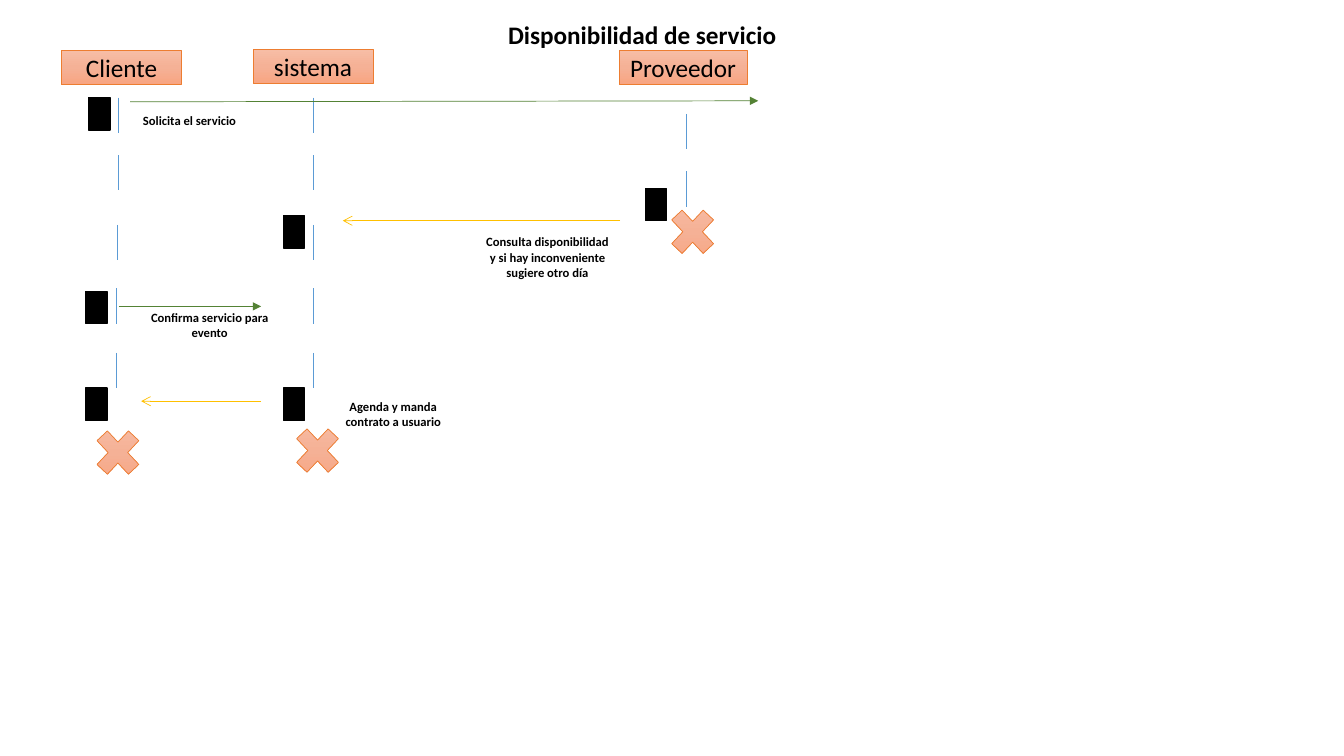
"""Builds a sequence diagram slide about service availability."""
from copy import deepcopy

from lxml.etree import SubElement
from pptx import Presentation
from pptx.dml.color import RGBColor
from pptx.enum.shapes import MSO_CONNECTOR, MSO_SHAPE
from pptx.enum.text import MSO_ANCHOR as ANCHOR, MSO_AUTO_SIZE as AUTO_SIZE, PP_ALIGN as ALIGN
from pptx.oxml.ns import qn
from pptx.util import Inches, Pt

BLACK, BLUE, GREEN, GOLD, ORANGE = "000000", "5B9BD5", "548235", "FFC000", "ED7D31"
PEACH_STOPS = [(0, "F7BDA5"), (0.5, "F5B196"), (1, "F8A582")]
DASH_LENGTH = 0.35

HEADERS = [("Cliente", 0.61, 0.5, 1.19), ("sistema", 2.51, 0.49, 1.19), ("Proveedor", 6.14, 0.5, 1.27)]
DASH_TOPS = [0.97, 1.54, 2.23, 2.86, 3.5]
LIFELINES = [
    ([1.17, 1.17, 1.16, 1.15, 1.15], DASH_TOPS),
    ([3.11] * 5, DASH_TOPS),
    ([6.81] * 2, [1.13, 1.7]),
]
MESSAGES = [
    ((1.29, 1.01), (7.52, 1), GREEN, "triangle"),
    ((6.15, 2.19), (3.4, 2.19), GOLD, "arrow"),
    ((1.18, 3.04), (2.59, 3.04), GREEN, "triangle"),
    ((2.59, 3.98), (1.4, 3.98), GOLD, "arrow"),
]
LABELS = [
    ("Solicita el servicio", 1.16, 1.05, 0.28),
    ("Consulta disponibilidad y si hay inconveniente sugiere otro día", 4.71, 2.29, 0.52),
    ("Confirma servicio para evento", 1.36, 2.96, 0.52),
    ("Agenda y manda contrato a usuario", 3.18, 3.85, 0.52),
]
ACTIVATIONS = [(0.88, 0.97), (6.4, 1.87), (2.81, 2.14), (0.85, 2.89), (0.85, 3.85), (2.81, 3.85)]
ENDINGS = [(0.87, 4.17), (2.85, 4.15), (6.57, 1.98)]


def color(value):
    """Turn a hex string into a colour."""
    return RGBColor.from_string(value)


def apply_format(target, values):
    """Set each attribute in a dict of format values."""
    for name, value in values.items():
        setattr(target, name, value)


def set_line(line, value, width=0.5):
    """Give a line its colour and width in points."""
    line.color.rgb = color(value)
    line.width = Pt(width)


def fill_peach(shape):
    """Fill a shape with the vertical three-stop peach gradient."""
    shape.fill.gradient()
    shape.fill.gradient_angle = 270
    stop_list = shape._element.spPr.find(".//" + qn("a:gsLst"))
    stop_list.insert(1, deepcopy(stop_list[0]))
    for stop, (position, value) in zip(shape.fill.gradient_stops, PEACH_STOPS):
        stop.position = position
        stop.color.rgb = color(value)


def write_text(shape, text, size, bold=False, align=ALIGN.CENTER, **frame_format):
    """Write one black paragraph into a shape."""
    frame = shape.text_frame
    apply_format(frame, {"word_wrap": True, "vertical_anchor": ANCHOR.MIDDLE, **frame_format})
    paragraph = frame.paragraphs[0]
    paragraph.alignment = align
    run = paragraph.add_run()
    run.text = text
    apply_format(run.font, {"name": "Calibri", "size": Pt(size), "bold": bold})
    run.font.color.rgb = color(BLACK)


def add_label(slide, text, left, top, width, height, size=9, **text_format):
    """Add a bold text box."""
    box = slide.shapes.add_textbox(*map(Inches, (left, top, width, height)))
    write_text(box, text, size, bold=True, **text_format)


def add_block(slide, kind, left, top, width, height):
    """Add a preset shape without a shadow."""
    shape = slide.shapes.add_shape(kind, *map(Inches, (left, top, width, height)))
    shape.shadow.inherit = False
    return shape


def add_peach_block(slide, kind, *box):
    """Add a peach shape with an orange outline."""
    shape = add_block(slide, kind, *box)
    fill_peach(shape)
    set_line(shape.line, ORANGE)
    return shape


def add_activation(slide, left, top):
    """Add a black activation bar."""
    bar = add_block(slide, MSO_SHAPE.RECTANGLE, left, top, 0.21, 0.32)
    bar.fill.solid()
    bar.fill.fore_color.rgb = color(BLACK)
    set_line(bar.line, BLACK, 1)


def add_line(slide, start, end, value, head=None):
    """Add a thin straight line, with an arrowhead at its end if one is named."""
    connector = slide.shapes.add_connector(MSO_CONNECTOR.STRAIGHT, *map(Inches, (*start, *end)))
    set_line(connector.line, value)
    if head:
        SubElement(connector.line._get_or_add_ln(), qn("a:tailEnd"), type=head)
    SubElement(connector._element.spPr, qn("a:effectLst"))


def main():
    """Build the slide and save it."""
    presentation = Presentation()
    apply_format(presentation, {"slide_width": Inches(13.33), "slide_height": Inches(7.5)})
    slide = presentation.slides.add_slide(presentation.slide_layouts[6])

    add_label(slide, "Disponibilidad de servicio", 4.92, 0.14, 2.88, 0.4, size=18, align=ALIGN.RIGHT,
              word_wrap=False, vertical_anchor=ANCHOR.TOP, auto_size=AUTO_SIZE.SHAPE_TO_FIT_TEXT)
    for name, left, top, width in HEADERS:
        header = add_peach_block(slide, MSO_SHAPE.RECTANGLE, left, top, width, 0.34)
        write_text(header, name, 18)
    for lefts, tops in LIFELINES:
        for left, top in zip(lefts, tops):
            add_line(slide, (left, top), (left, top + DASH_LENGTH), BLUE)
    for message in MESSAGES:
        add_line(slide, *message)
    for text, left, top, height in LABELS:
        add_label(slide, text, left, top, 1.44, height)
    for left, top in ACTIVATIONS:
        add_activation(slide, left, top)
    for left, top in ENDINGS:
        add_peach_block(slide, MSO_SHAPE.MATH_MULTIPLY, left, top, 0.6, 0.64)

    presentation.save("out.pptx")


if __name__ == "__main__":
    main()
